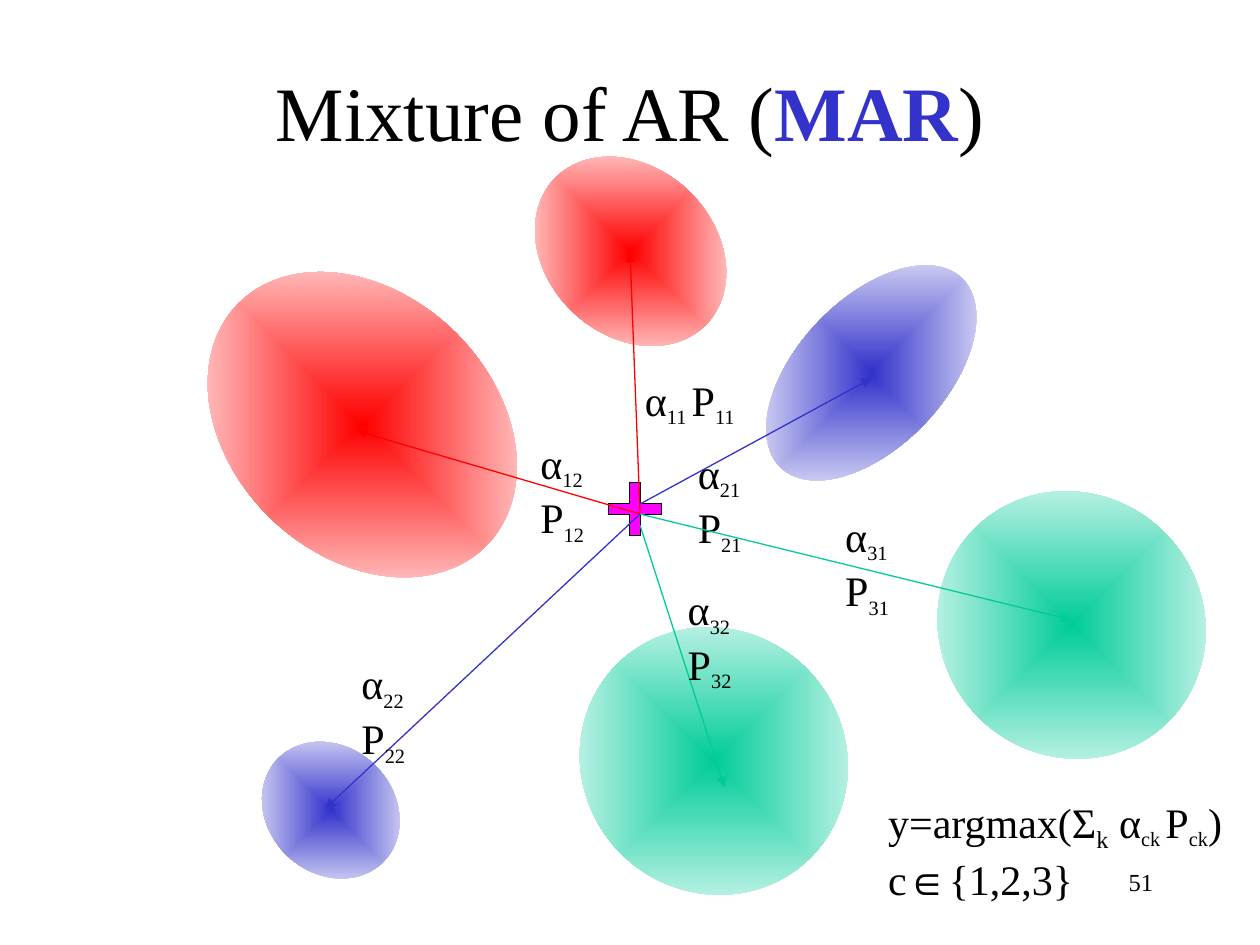
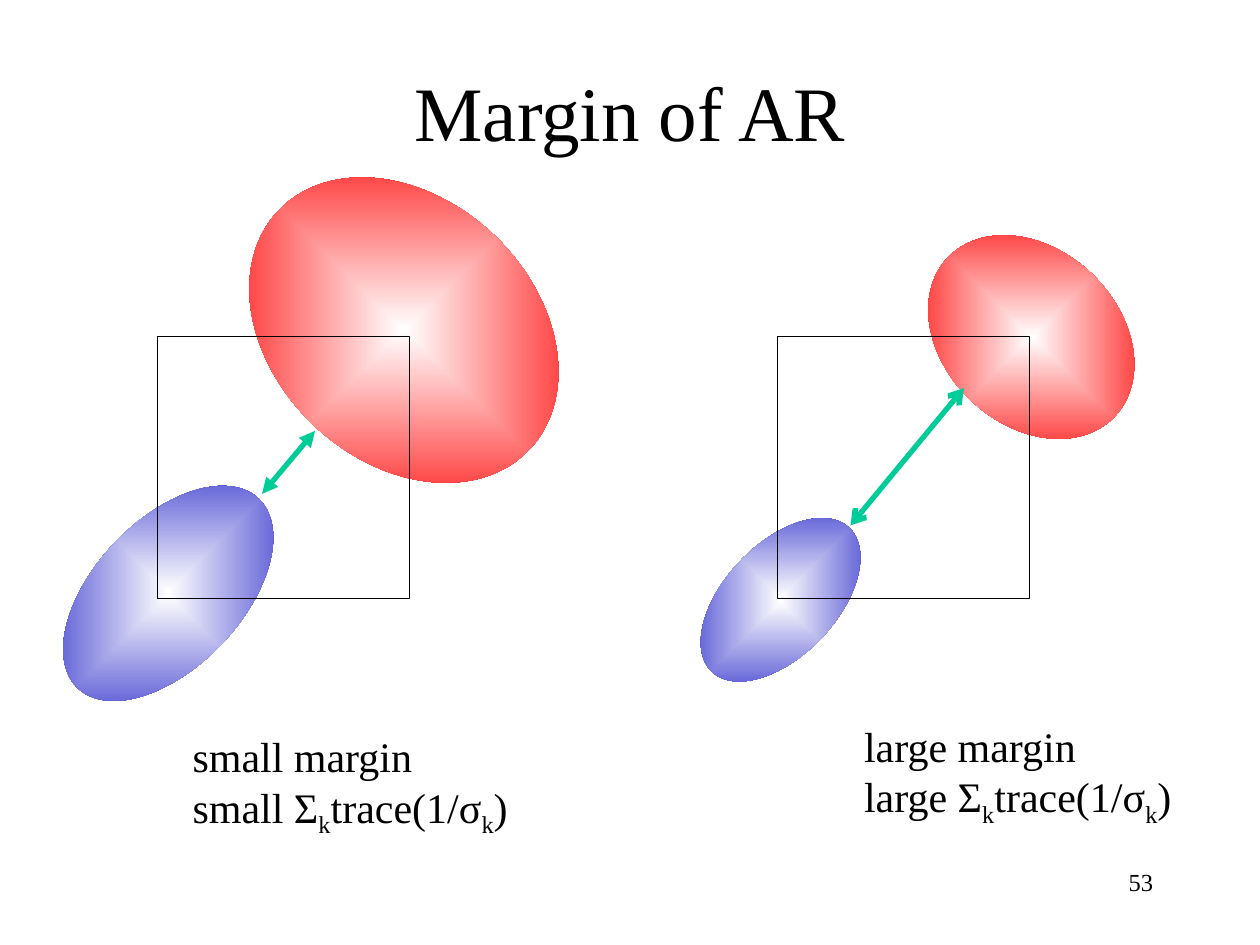
from dataclasses import dataclass
from typing import NamedTuple

from lxml.etree import SubElement
from pptx import Presentation
from pptx.dml.color import RGBColor
from pptx.enum.shapes import MSO_CONNECTOR, MSO_SHAPE
from pptx.enum.text import MSO_ANCHOR, MSO_AUTO_SIZE, PP_ALIGN
from pptx.oxml.ns import qn
from pptx.shapes.autoshape import Shape
from pptx.slide import Slide
from pptx.util import Inches, Pt

OVAL, PLUS, RECT = MSO_SHAPE.OVAL, MSO_SHAPE.CROSS, MSO_SHAPE.RECTANGLE
LINE = MSO_CONNECTOR.STRAIGHT
MIDDLE, TOP = MSO_ANCHOR.MIDDLE, MSO_ANCHOR.TOP
LEFT, CENTER, RIGHT = PP_ALIGN.LEFT, PP_ALIGN.CENTER, PP_ALIGN.RIGHT
GROW, FIXED = MSO_AUTO_SIZE.SHAPE_TO_FIT_TEXT, MSO_AUTO_SIZE.NONE


@dataclass(frozen=True)
class Theme:
    """Colours, fonts and sizes that the slides share."""
    ink: str = "000000"
    paper: str = "FFFFFF"
    red: str = "FF0000"
    blue: str = "3333CC"
    green: str = "00CC99"
    pink: str = "FF00FF"
    font: str = "Times New Roman"
    math: str = "Arial"
    title: int = 44
    body: int = 24
    index: int = 20
    page: int = 14
    thin: float = 0.75
    thick: float = 3
    tilt: float = 43.7


T = Theme()


class Box(NamedTuple):
    """Place and size in inches."""
    x: float
    y: float
    w: float
    h: float


class Point(NamedTuple):
    """Position in inches."""
    x: float
    y: float


class Run(NamedTuple):
    """Piece of text in one style."""
    text: str
    size: int = T.body
    sub: bool = False
    font: str = T.font
    color: str = T.ink
    bold: bool = False


class Blob(NamedTuple):
    """Tilted cluster with a gradient from its core to its rim."""
    box: Box
    core: str
    rim: str


class Arm(NamedTuple):
    """Cluster, the arrow that reaches it and its weight label."""
    index: str
    hue: str
    box: Box
    start: float
    tip: Point
    label: Point


class Case(NamedTuple):
    """One margin example."""
    word: str
    low: Box
    high: Box
    frame: Box
    note: Box
    begin: Point
    end: Point
    head: str


TITLE = Box(0.25, 0.25, 9.5, 1.25)
PAGE = Box(7.17, 6.83, 2.08, 0.5)
HUB = 5.08
ARMS = [
    Arm("21", T.blue, Box(6.33, 1.92, 1.17, 2.08), 4, Point(6.92, 3), Point(5.44, 3.5)),
    Arm("32", T.green, Box(4.58, 5, 2.17, 2.08), 4.17, Point(5.75, 6.25), Point(5.36, 4.58)),
    Arm("12", T.red, Box(1.5, 2.33, 2.75, 2.08), 4.08, Point(2.83, 3.42), Point(4.19, 3.42)),
    Arm("22", T.blue, Box(2.04, 5.93, 1.17, 1), 4.08, Point(2.58, 6.42), Point(2.77, 5.17)),
    Arm("31", T.green, Box(7.42, 3.92, 2.17, 2.08), 4.08, Point(8.5, 4.92), Point(6.61, 4)),
    Arm("11", T.red, Box(4.17, 1.33, 1.67, 1.33), 4.08, Point(5, 2), Point(5.02, 2.92)),
]
CASES = [
    Case("small", Box(0.75, 3.67, 1.17, 2.08), Box(1.83, 1.58, 2.75, 2.08),
         Box(1.25, 2.67, 2, 2.08), Box(1.43, 5.75, 2.7, 0.96),
         Point(2.08, 3.92), Point(2.5, 3.42), "triangle"),
    Case("large", Box(5.75, 3.97, 0.89, 1.58), Box(7.27, 1.98, 1.83, 1.39),
         Box(6.17, 2.67, 2, 2.08), Box(6.76, 5.67, 2.64, 0.96),
         Point(6.75, 4.17), Point(7.65, 3.08), "arrow"),
]


def rgb(color: str) -> RGBColor:
    """Turn a hex string into a colour."""
    return RGBColor.from_string(color)


def add_text(slide: Slide, box: Box, lines: list[list[Run]], align: PP_ALIGN = LEFT,
             anchor: MSO_ANCHOR = TOP, wrap: bool = False) -> None:
    """Add a text box with one paragraph for each list of runs."""
    frame = slide.shapes.add_textbox(*map(Inches, box)).text_frame
    frame.word_wrap = wrap
    frame.auto_size = FIXED if wrap else GROW
    frame.vertical_anchor = anchor
    for place, line in enumerate(lines):
        para = frame.add_paragraph() if place else frame.paragraphs[0]
        para.alignment = align
        for part in line:
            run = para.add_run()
            run.text = part.text
            font = run.font
            font.name, font.size, font.bold = part.font, Pt(part.size), part.bold
            font.color.rgb = rgb(part.color)
            if part.sub:
                run._r.get_or_add_rPr().set("baseline", "-25000")


def add_form(slide: Slide, kind: MSO_SHAPE, box: Box) -> Shape:
    """Add a preset shape with no fill and a thin black outline."""
    shape = slide.shapes.add_shape(kind, *map(Inches, box))
    shape.shadow.inherit = False
    shape.fill.background()
    shape.line.color.rgb = rgb(T.ink)
    shape.line.width = Pt(T.thin)
    return shape


def add_blob(slide: Slide, blob: Blob) -> None:
    """Add a tilted ellipse that fades outwards from its centre."""
    shape = add_form(slide, OVAL, blob.box)
    shape.rotation = T.tilt
    shape.line.fill.background()
    shape.fill.gradient()
    for stop, color, place in zip(shape.fill.gradient_stops, (blob.core, blob.rim), (0, 1)):
        stop.color.rgb = rgb(color)
        stop.position = place
    grad = shape._element.spPr.find(qn("a:gradFill"))
    grad.set("rotWithShape", "0")
    grad.remove(grad.find(qn("a:lin")))
    focus = SubElement(grad, qn("a:path"), {"path": "rect"})
    SubElement(focus, qn("a:fillToRect"), dict.fromkeys("ltrb", "50000"))


def add_arrow(slide: Slide, begin: Point, end: Point, color: str, width: float,
              tail: str, head: str = "none") -> None:
    """Add a straight arrow."""
    line = slide.shapes.add_connector(LINE, *map(Inches, (*begin, *end)))
    line.line.color.rgb = rgb(color)
    line.line.width = Pt(width)
    props = line._element.spPr
    stroke = props.find(qn("a:ln"))
    SubElement(stroke, qn("a:headEnd"), {"type": head})
    SubElement(stroke, qn("a:tailEnd"), {"type": tail})
    SubElement(props, qn("a:effectLst"))


def term(index: str) -> list[Run]:
    """Return the runs of one weighted term."""
    return [Run("α"), Run(f"{index} ", T.index, True), Run("P"), Run(index, T.index, True)]


def add_slide(deck: Presentation, title: list[Run], page: int) -> Slide:
    """Add a blank slide with its title and page number."""
    slide = deck.slides.add_slide(deck.slide_layouts[6])
    add_text(slide, TITLE, [title], CENTER, MIDDLE, True)
    add_text(slide, PAGE, [[Run(str(page), T.page)]], RIGHT, wrap=True)
    return slide


def draw_mix(deck: Presentation) -> None:
    """Draw the mixture slide."""
    title = [Run("Mixture of AR (", T.title),
             Run("MAR", T.title, color=T.blue, bold=True), Run(")", T.title)]
    slide = add_slide(deck, title, 51)
    for arm in ARMS:
        add_blob(slide, Blob(arm.box, arm.hue, T.paper))
    plus = add_form(slide, PLUS, Box(4.83, 3.83, 0.42, 0.42))
    plus.adjustments[0] = 0.39
    plus.fill.solid()
    plus.fill.fore_color.rgb = rgb(T.pink)
    for arm in ARMS:
        add_arrow(slide, Point(HUB, arm.start), arm.tip, arm.hue, T.thin, "triangle")
        add_text(slide, Box(*arm.label, 0.92, 0.54), [term(arm.index)])
    add_text(slide, Box(6.95, 6.27, 2.85, 0.96), [
        [Run("y=argmax(Σ"), Run("k", sub=True), Run(" "), *term("ck"), Run(")")],
        [Run("c"), Run("∈", font=T.math), Run("{1,2,3}")],
    ])


def draw_gap(deck: Presentation) -> None:
    """Draw the margin slide."""
    slide = add_slide(deck, [Run("Margin of AR", T.title)], 53)
    for case in CASES:
        add_blob(slide, Blob(case.low, T.paper, T.blue))
        add_blob(slide, Blob(case.high, T.paper, T.red))
        add_form(slide, RECT, case.frame)
        add_arrow(slide, case.begin, case.end, T.green, T.thick, case.head, case.head)
        add_text(slide, case.note, [
            [Run(f"{case.word} margin")],
            [Run(f"{case.word} Σ"), Run("k", sub=True), Run("trace(1/σ"),
             Run("k", sub=True), Run(")")],
        ])


def main() -> None:
    """Build and save the deck."""
    deck = Presentation()
    deck.slide_width, deck.slide_height = Inches(10), Inches(7.5)
    draw_mix(deck)
    draw_gap(deck)
    deck.save("out.pptx")


if __name__ == "__main__":
    main()
